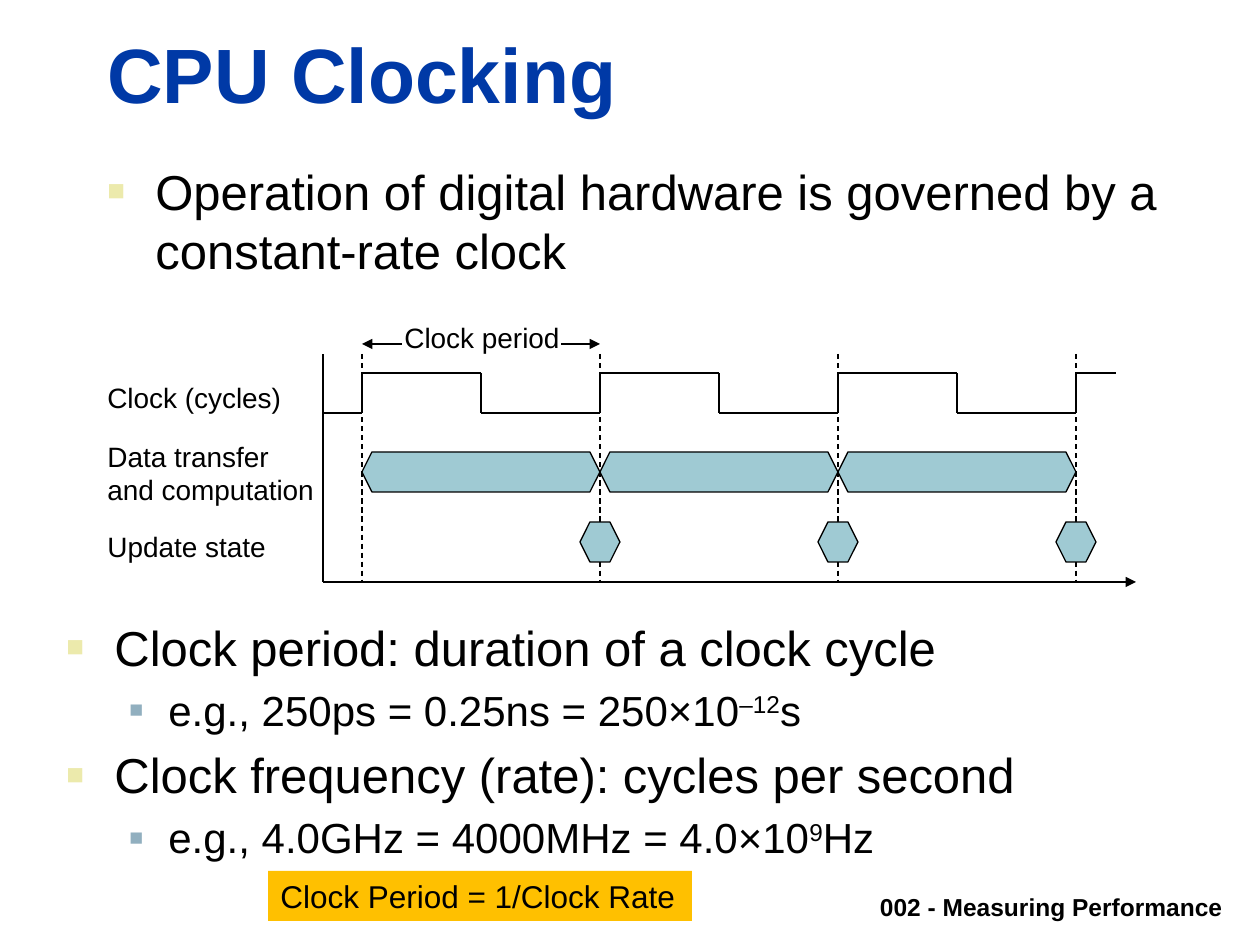
from lxml.etree import SubElement
from pptx import Presentation
from pptx.dml.color import RGBColor
from pptx.enum.dml import MSO_LINE
from pptx.enum.shapes import MSO_CONNECTOR, MSO_SHAPE
from pptx.enum.text import MSO_ANCHOR, PP_ALIGN
from pptx.oxml import parse_xml
from pptx.oxml.ns import nsdecls, qn
from pptx.util import Pt

PX = 914400 / 126
BLACK, TEAL = "000000", "9FCAD3"
rgb = RGBColor.from_string

prs = Presentation()
prs.slide_width, prs.slide_height = round(1260 * PX), round(945 * PX)
s = prs.slides.add_slide(prs.slide_layouts[6])


def write(box, paragraphs, size=16, color=BLACK, bold=False, align=PP_ALIGN.LEFT,
          anchor=MSO_ANCHOR.TOP, wrap=False, fill=None):
    """Add text; a paragraph is a string or (text, bullet level), with ^ around superscripts."""
    box = [round(v * PX) for v in box]
    if fill:
        sp = s.shapes.add_shape(MSO_SHAPE.RECTANGLE, *box)
        sp.shadow.inherit = False
        sp.fill.solid()
        sp.fill.fore_color.rgb = rgb(fill)
        sp.line.fill.background()
    else:
        sp = s.shapes.add_textbox(*box)
    tf = sp.text_frame
    tf.word_wrap, tf.vertical_anchor = wrap, anchor
    for n, item in enumerate(paragraphs):
        p = tf.paragraphs[0] if n == 0 else tf.add_paragraph()
        p.alignment = align
        text, pt = item, size
        if isinstance(item, tuple):
            text, p.level = item
            pt, left, hang, bullet, percent = [(28, 48, 48, "ECEAAC", 60),
                                               (24, 102, 39, "91AFBF", 55)][p.level]
            p.space_before = Pt(pt * 0.2)
            pPr = p._p.get_or_add_pPr()
            pPr.set("marL", str(round(left * PX)))
            pPr.set("indent", str(round(-hang * PX)))
            for xml in (f'<a:buClr {nsdecls("a")}><a:srgbClr val="{bullet}"/></a:buClr>',
                        f'<a:buSzPct {nsdecls("a")} val="{percent}000"/>',
                        f'<a:buFont {nsdecls("a")} typeface="Arial"/>',
                        f'<a:buChar {nsdecls("a")} char="■"/>'):
                pPr.append(parse_xml(xml))
        for i, piece in enumerate(text.split("^")):
            for j, words in enumerate(piece.split("\n")):
                if j:
                    p.add_line_break()
                r = p.add_run()
                r.text = words
                r.font.name, r.font.size, r.font.bold = "Arial", Pt(pt), bold
                r.font.color.rgb = rgb(color)
                if i % 2:
                    r.font._element.set("baseline", "30000")


def line(x1, y1, x2, y2, width=0.75, dash=False, ends=()):
    """Draw a black line; ends names the arrowheads, headEnd before tailEnd."""
    c = s.shapes.add_connector(MSO_CONNECTOR.STRAIGHT, *[round(v * PX) for v in (x1, y1, x2, y2)])
    c.line.width = Pt(width)
    c.line.color.rgb = rgb(BLACK)
    if dash:
        c.line.dash_style = MSO_LINE.DASH
    for end in ends:
        SubElement(c.line._get_or_add_ln(), qn(f"a:{end}"), type="triangle")
    SubElement(c._element.spPr, qn("a:effectLst"))


# Text around the diagram
write((233, 879, 1002, 49), ["002 - Measuring Performance"], size=14, bold=True,
      align=PP_ALIGN.RIGHT, anchor=MSO_ANCHOR.BOTTOM, wrap=True)
write((95, 20, 1138, 105), ["CPU Clocking"], size=44, color="0039A6", bold=True,
      anchor=MSO_ANCHOR.BOTTOM, wrap=True)
write((95, 155, 1140, 169),
      [("Operation of digital hardware is governed by a constant-rate clock", 0)], wrap=True)
write((54, 611, 1179, 268), [
    ("Clock period: duration of a clock cycle", 0),
    ("e.g., 250ps = 0.25ns = 250×10^–12^s", 1),
    ("Clock frequency (rate): cycles per second", 0),
    ("e.g., 4.0GHz = 4000MHz = 4.0×10^9^Hz", 1),
], wrap=True)

# Timing diagram
PERIOD, HIGH, LOW = 238, 373, 413
AXIS_X, AXIS_TOP, AXIS_Y = 323, 354, 582
edges = [362 + PERIOD * i for i in range(4)]

line(edges[0], 344, edges[1], 344, ends=("headEnd", "tailEnd"))
write((402, 334, 159, 20), [""], fill="FFFFFF")
write((392, 314, 180, 47), ["Clock period"], align=PP_ALIGN.CENTER)
for x in edges:
    line(x, AXIS_TOP, x, AXIS_Y, dash=True)

line(AXIS_X, LOW, edges[0], LOW, width=1.5)
for x in edges:
    line(x, HIGH, x, LOW, width=1.5)
for x in edges[:-1]:
    mid = x + PERIOD / 2
    line(x, HIGH, mid, HIGH, width=1.5)
    line(mid, HIGH, mid, LOW, width=1.5)
    line(mid, LOW, x + PERIOD, LOW, width=1.5)
line(edges[-1], HIGH, edges[-1] + 40, HIGH, width=1.5)

transfers = [(x, 452, PERIOD) for x in edges[:-1]]
updates = [(x - 20, 522, 40) for x in edges[1:]]
for x, y, w in transfers + updates:
    fb = s.shapes.build_freeform(x, y + 20, scale=PX)
    fb.add_line_segments([(x + 10, y), (x + w - 10, y), (x + w, y + 20),
                          (x + w - 10, y + 40), (x + 10, y + 40)], close=True)
    sp = fb.convert_to_shape()
    sp.shadow.inherit = False
    sp.fill.solid()
    sp.fill.fore_color.rgb = rgb(TEAL)
    sp.line.color.rgb = rgb(BLACK)
    sp.line.width = Pt(0.75)

line(AXIS_X, AXIS_Y, 1136, AXIS_Y, ends=("tailEnd",))
line(AXIS_X, AXIS_Y, AXIS_X, AXIS_TOP)
for y, w, h, label in [(374, 199, 47, "Clock (cycles)"),
                       (433, 232, 81, "Data transfer\nand computation"),
                       (523, 184, 47, "Update state")]:
    write((95, y, w, h), [label])

write((268, 871, 424, 50), ["Clock Period = 1/Clock Rate"], size=18, fill="FFC000")

prs.save("out.pptx")
